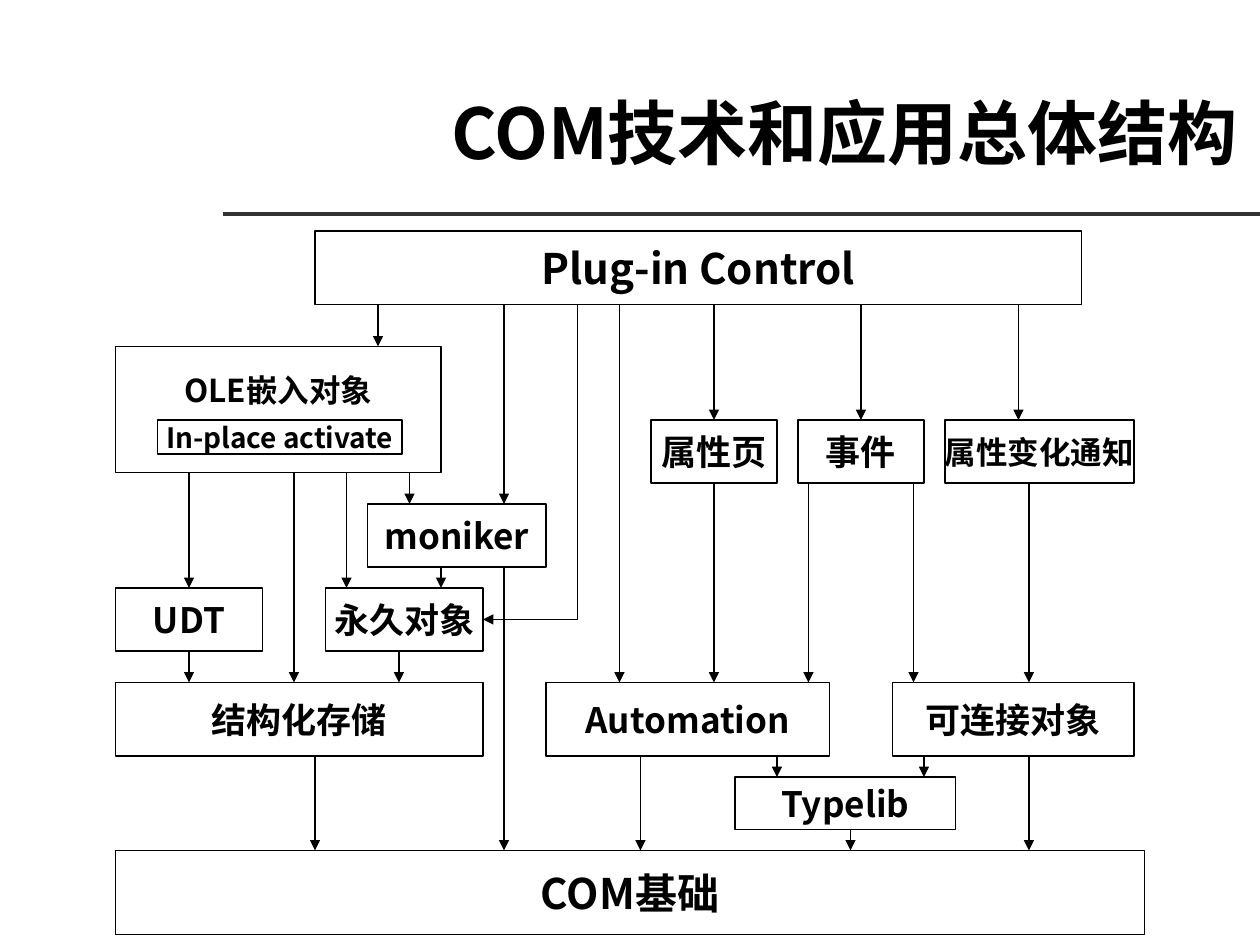
from lxml import etree
from pptx import Presentation
from pptx.dml.color import RGBColor
from pptx.enum import shapes, text
from pptx.oxml import ns
from pptx.util import Inches, Pt

BLACK = RGBColor(0x00, 0x00, 0x00)
GRAY = RGBColor(0x33, 0x33, 0x33)
FONT = "Noto Sans CJK SC"
GRID = 12  # grid steps per inch


def write(sp, words, size, align):
    tf = sp.text_frame
    tf.vertical_anchor = text.MSO_ANCHOR.MIDDLE
    p = tf.paragraphs[0]
    p.alignment = align
    r = p.add_run()
    r.text = words
    for name, value in dict(name=FONT, size=Pt(size), bold=True).items():
        setattr(r.font, name, value)
    r.font.color.rgb = BLACK
    ea = etree.SubElement(r.font._element, ns.qn("a:ea"))
    ea.set("typeface", FONT)
    return tf


def style_line(sp, color=BLACK, width=0.75, arrow=True):
    sp.line.color.rgb = color
    sp.line.width = Pt(width)
    if arrow:
        tail = etree.SubElement(sp.line._get_or_add_ln(), ns.qn("a:tailEnd"))
        tail.set("type", "triangle")


prs = Presentation()
prs.slide_width, prs.slide_height = Inches(10), Inches(7.5)
s = prs.slides.add_slide(prs.slide_layouts[5])

# Title and rule below it
title = s.shapes.title
frame = dict(left=1.5, top=0.67, width=8.42, height=0.75)
for name, value in frame.items():
    setattr(title, name, Inches(value))
write(title, "COM技术和应用总体结构", 40, text.PP_ALIGN.RIGHT)
rule = s.shapes.add_connector(
    shapes.MSO_CONNECTOR.STRAIGHT, Inches(1.77), Inches(1.7), Inches(10), Inches(1.7))
style_line(rule, GRAY, 2.25, arrow=False)
etree.SubElement(rule._element.spPr, ns.qn("a:effectLst"))

# Boxes: key, words, size, left, top, width, height in grid steps
boxes = [
    ("base", "COM基础", 24, 11, 81, 98, 8),
    ("typelib", "Typelib", 20, 70, 74, 21, 5),
    ("storage", "结构化存储", 20, 11, 65, 35, 7),
    ("connectable", "可连接对象", 20, 85, 65, 23, 7),
    ("automation", "Automation", 20, 52, 65, 27, 7),
    ("persistent", "永久对象", 20, 31, 56, 15, 6),
    ("udt", "UDT", 20, 11, 56, 14, 6),
    ("moniker", "moniker", 20, 35, 48, 17, 6),
    ("page", "属性页", 20, 62, 40, 12, 6),
    ("event", "事件", 20, 76, 40, 12, 6),
    ("notify", "属性变化通知", 18, 90, 40, 18, 6),
    ("control", "Plug-in Control", 24, 30, 22, 73, 7),
    ("ole", "OLE嵌入对象", 18, 11, 33, 31, 12),
    ("activate", "In-place activate", 16, 15, 40, 23.3, 3.25),
]
placed = {}
for key, words, size, *box in boxes:
    sp = s.shapes.add_shape(
        shapes.MSO_SHAPE.RECTANGLE, *(Inches(v / GRID) for v in box))
    sp.shadow.inherit = False
    sp.fill.background()
    style_line(sp, arrow=False)
    tf = write(sp, words, size, text.PP_ALIGN.CENTER)
    tf.word_wrap = False
    if key == "ole":
        tf.margin_bottom = Inches(0.36)  # room for the inner box
    placed[key] = sp, box

# Vertical arrows: source, target, x in grid steps
arrows = [
    ("control", "ole", 36), ("control", "moniker", 48),
    ("control", "automation", 59), ("control", "page", 68),
    ("control", "event", 82), ("control", "notify", 97),
    ("ole", "udt", 18), ("ole", "storage", 28),
    ("ole", "persistent", 33), ("ole", "moniker", 39),
    ("moniker", "persistent", 42), ("moniker", "base", 48),
    ("udt", "storage", 18), ("persistent", "storage", 38),
    ("page", "automation", 68), ("event", "automation", 77),
    ("event", "connectable", 87), ("notify", "connectable", 98),
    ("storage", "base", 30), ("automation", "base", 61),
    ("automation", "typelib", 74), ("connectable", "typelib", 88),
    ("connectable", "base", 98), ("typelib", "base", 81),
]
for source, target, x in arrows:
    (start, (x1, y1, w1, h1)), (end, (x2, y2, w2, h2)) = placed[source], placed[target]
    points = (x, y1 + h1, x, y2)
    line = s.shapes.add_connector(
        shapes.MSO_CONNECTOR.STRAIGHT, *(Inches(v / GRID) for v in points))
    if x == x1 + w1 / 2:
        line.begin_connect(start, 2)
    if x == x2 + w2 / 2:
        line.end_connect(end, 0)
    style_line(line)
    etree.SubElement(line._element.spPr, ns.qn("a:effectLst"))

# Bent arrow from the control to the side of the persistent object
bend = s.shapes.build_freeform(55, 29, scale=Inches(1) / GRID)
bend.add_line_segments([(55, 59), (46, 59)], close=False)
sp = bend.convert_to_shape()
sp.shadow.inherit = False
sp.fill.background()
style_line(sp)

prs.save("out.pptx")
